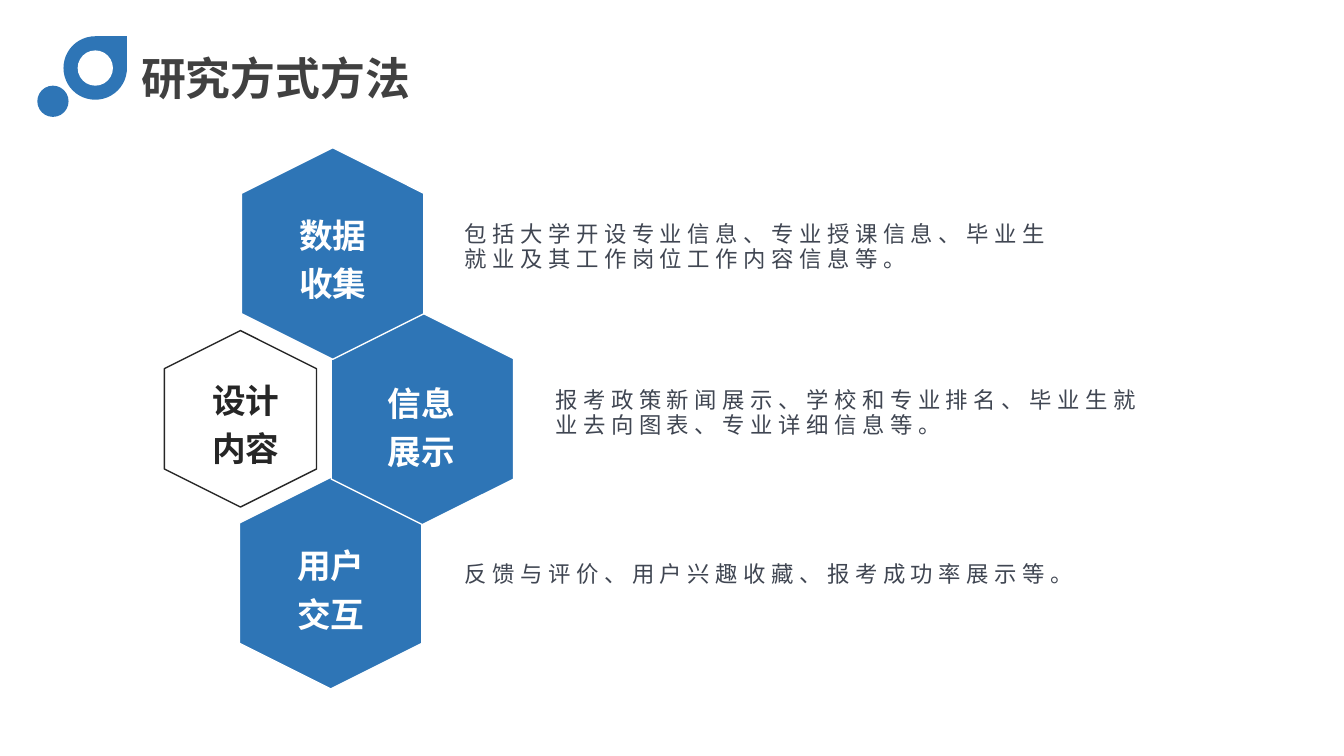
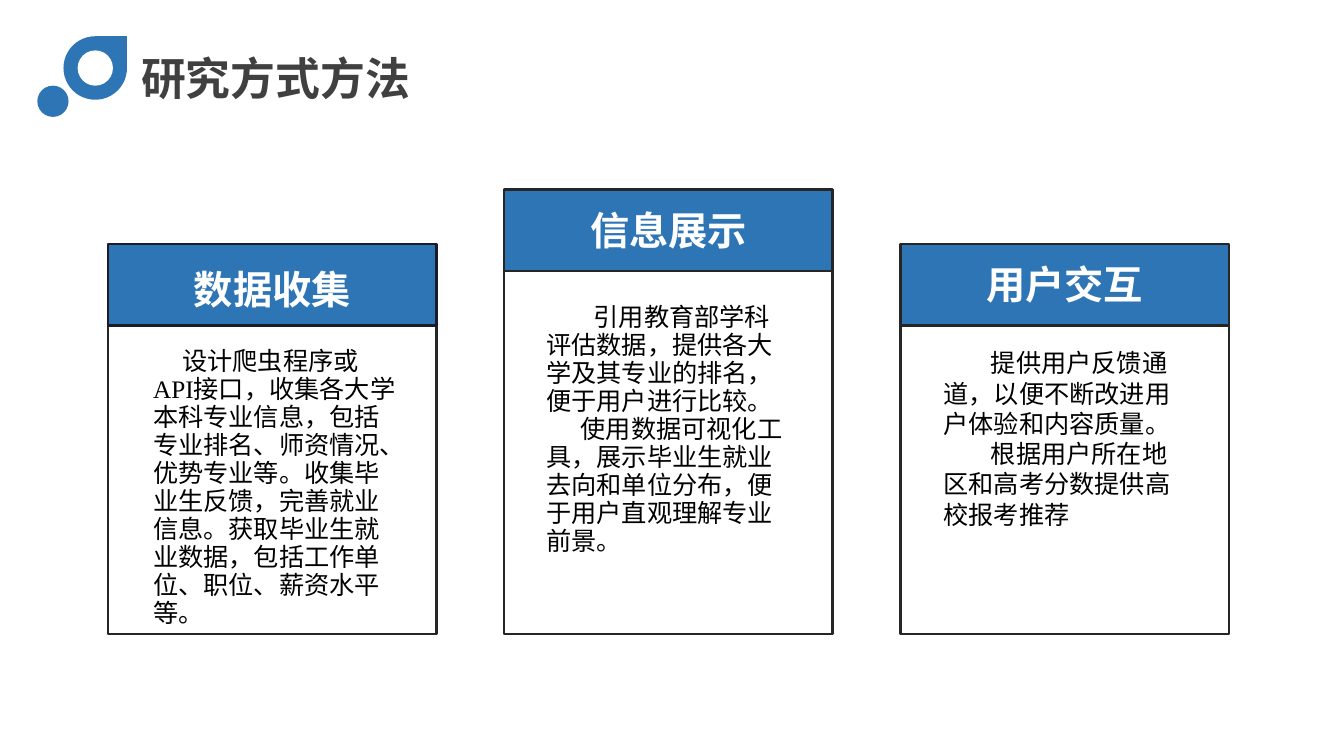
from collections import namedtuple

from pptx import Presentation
from pptx.dml.color import RGBColor
from pptx.enum.shapes import MSO_SHAPE as Preset
from pptx.enum.text import MSO_ANCHOR as Anchor, MSO_AUTO_SIZE as AutoSize, PP_ALIGN as Align
from pptx.util import Emu, Pt

EMU_PER_PX = 9144
COLORS = {
    "blue": "2E75B6",
    "white": "FFFFFF",
    "title": "404040",
    "ink": "262626",
    "navy": "1C1C28",
    "slate": "404652",
    "black": "000000",
}
SANS, SERIF = "Arial", "Times New Roman"
TITLE = "研究方式方法"

Style = namedtuple("Style", "size color font bold align spacing tracking", defaults=[SANS, False, Align.LEFT, None, 0])
TITLE_STYLE = Style(32, "title", bold=True, align=Align.JUSTIFY)
HEX_STYLE = Style(24, "white", bold=True, align=Align.CENTER, spacing=1.2)
CORE_STYLE = HEX_STYLE._replace(color="ink")
DETAIL_STYLE = Style(16, "slate", spacing=Pt(18), tracking=4)
HEADING_STYLE = Style(28, "white", bold=True, align=Align.CENTER)
BODY_STYLE = Style(18, "black", font=SERIF, spacing=Pt(20))
LOOSE_BODY_STYLE = BODY_STYLE._replace(spacing=None)

Card = namedtuple("Card", "heading top heading_top border body_at style paragraphs")

HEXAGONS = [
    ((151, 340, 175, 151), None, "ink"),
    ((223, 488, 210, 181), "blue", "white"),
    ((314, 325, 210, 181), "blue", "white"),
    ((225, 161, 210, 181), "blue", "white"),
]
HEX_LABELS = [
    ("设计内容", (198, 369, 92, 93), CORE_STYLE),
    ("数据收集", (285, 205, 90, 93), HEX_STYLE),
    ("信息展示", (373, 372, 90, 93), HEX_STYLE),
    ("用户交互", (283, 533, 90, 93), HEX_STYLE),
]
DETAILS = [
    ("包括大学开设专业信息、专业授课信息、毕业生就业及其工作岗位工作内容信息等。", (451, 215, 608, 61)),
    ("报考政策新闻展示、学校和专业排名、毕业生就业去向图表、专业详细信息等。", (541, 380, 608, 61)),
    ("反馈与评价、用户兴趣收藏、报考成功率展示等。", (451, 552, 608, 35)),
]
CARD_LEFT, CARD_STEP, CARD_WIDTH, CARD_BOTTOM = 107, 393, 326, 629
HEADER_HEIGHT = 81
CARDS = [
    Card("数据收集", 242, 258, "navy", (142, 340, 262, 291), BODY_STYLE, [
        ("设计爬虫程序或API接口，收集各大学本科专业信息，包括专业排名、师资情况、优势专业等。"
         "收集毕业生反馈，完善就业信息。获取毕业生就业数据，包括工作单位、职位、薪资水平等。", 29),
    ]),
    Card("信息展示", 188, 200, "ink", (532, 296, 262, 263), BODY_STYLE, [
        ("引用教育部学科评估数据，提供各大学及其专业的排名，便于用户进行比较。", 47),
        ("使用数据可视化工具，展示毕业生就业去向和单位分布，便于用户直观理解专业前景。", 34),
    ]),
    Card("用户交互", 242, 253, "ink", (926, 340, 262, 192), LOOSE_BODY_STYLE, [
        ("提供用户反馈通道，以便不断改进用户体验和内容质量。", 47),
        ("根据用户所在地区和高考分数提供高校报考推荐", 47),
    ]),
]


def px(length):
    """Turn px into EMU."""
    return Emu(length * EMU_PER_PX)


def rgb(name):
    """Look up a palette colour."""
    return RGBColor.from_string(COLORS[name])


def add_figure(slide, preset, at, fill=None, line=None, weight=1, rotation=0):
    """Add a preset shape with an optional fill and outline."""
    figure = slide.shapes.add_shape(preset, *map(px, at))
    figure.shadow.inherit = False
    figure.rotation = rotation
    if fill:
        figure.fill.solid()
        figure.fill.fore_color.rgb = rgb(fill)
    else:
        figure.fill.background()
    if line:
        figure.line.color.rgb = rgb(line)
        figure.line.width = Pt(weight)
    else:
        figure.line.fill.background()


def write(frame, paragraphs, style, inset=True):
    """Fill a text frame with (text, first-line indent) paragraphs."""
    frame.word_wrap = True
    frame.auto_size = AutoSize.SHAPE_TO_FIT_TEXT
    frame.vertical_anchor = Anchor.TOP
    if not inset:
        frame.margin_left = frame.margin_right = frame.margin_top = frame.margin_bottom = 0
    for index, (text, indent) in enumerate(paragraphs):
        paragraph = frame.add_paragraph() if index else frame.paragraphs[0]
        paragraph.alignment = style.align
        if style.spacing:
            paragraph.line_spacing = style.spacing
        if indent:
            properties = paragraph._p.get_or_add_pPr()
            properties.set("marL", "0")
            properties.set("indent", str(px(indent)))
        run = paragraph.add_run()
        run.text = text
        run.font.name = style.font
        run.font.size = Pt(style.size)
        run.font.bold = style.bold
        run.font.color.rgb = rgb(style.color)
        if style.tracking:
            run.font._element.set("spc", str(style.tracking * 100))


def add_text(slide, at, paragraphs, style, inset=True):
    """Add a wrapped text box."""
    write(slide.shapes.add_textbox(*map(px, at)).text_frame, paragraphs, style, inset)


def add_titled_slide(deck):
    """Add a slide with the shared ornament and title."""
    slide = deck.slides.add_slide(deck.slide_layouts[5])
    add_figure(slide, Preset.OVAL, (37, 85, 31, 31), "blue")
    add_figure(slide, Preset.TEAR, (63, 36, 63, 63), "blue")
    add_figure(slide, Preset.OVAL, (77, 50, 35, 35), "white")
    title = slide.shapes.title
    title.left, title.top, title.width, title.height = map(px, (140, 50, 310, 54))
    write(title.text_frame, [(TITLE, 0)], TITLE_STYLE, inset=False)
    return slide


def add_card(slide, left, card):
    """Add a panel with a header band, heading and body text."""
    panel_top = card.top + HEADER_HEIGHT
    add_figure(slide, Preset.RECTANGLE, (left, panel_top, CARD_WIDTH, CARD_BOTTOM - panel_top),
               line="ink", weight=1.75)
    add_figure(slide, Preset.RECTANGLE, (left, card.top, CARD_WIDTH, HEADER_HEIGHT),
               "blue", card.border, 1.75)
    add_text(slide, (left, card.heading_top, CARD_WIDTH, 57), [(card.heading, 0)], HEADING_STYLE)
    add_text(slide, card.body_at, card.paragraphs, card.style)


def build_hexagon_slide(deck):
    """Build the slide with the honeycomb of design topics."""
    slide = add_titled_slide(deck)
    for at, fill, line in HEXAGONS:
        add_figure(slide, Preset.HEXAGON, at, fill, line, rotation=270)
    for label, at, style in HEX_LABELS:
        add_text(slide, at, [(label, 0)], style, inset=False)
    for detail, at in DETAILS:
        add_text(slide, at, [(detail, 0)], DETAIL_STYLE)


def build_card_slide(deck):
    """Build the slide with one card per topic."""
    slide = add_titled_slide(deck)
    for index, card in enumerate(CARDS):
        add_card(slide, CARD_LEFT + index * CARD_STEP, card)


def main():
    """Build and save the deck."""
    deck = Presentation()
    deck.slide_width, deck.slide_height = px(1333), px(750)
    build_hexagon_slide(deck)
    build_card_slide(deck)
    deck.save("out.pptx")


if __name__ == "__main__":
    main()
